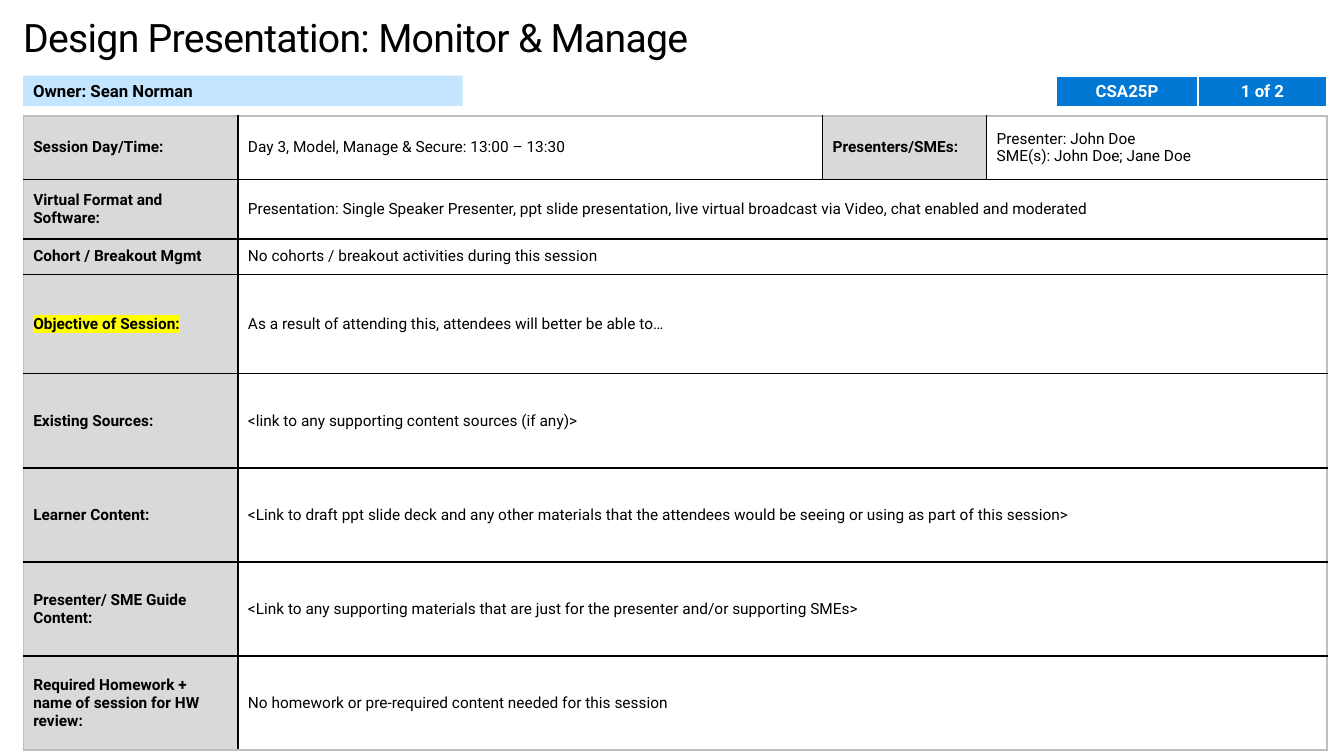
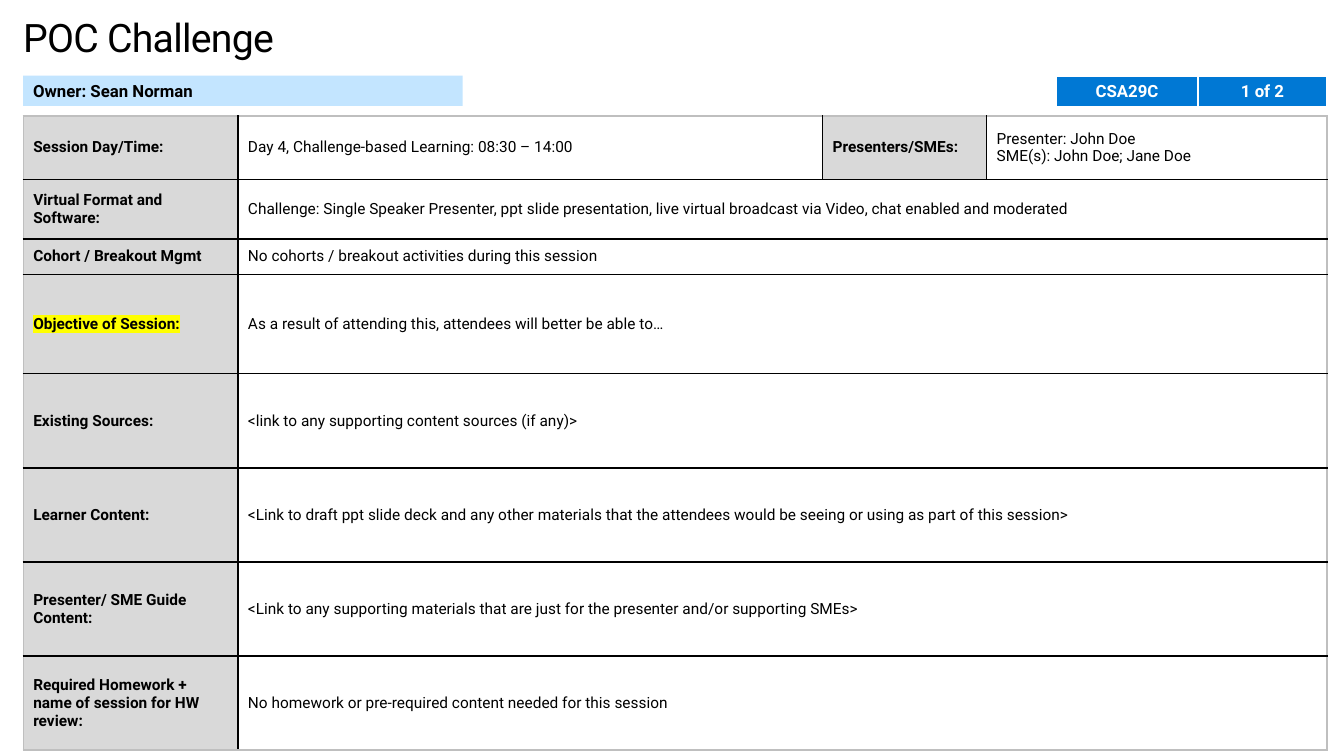
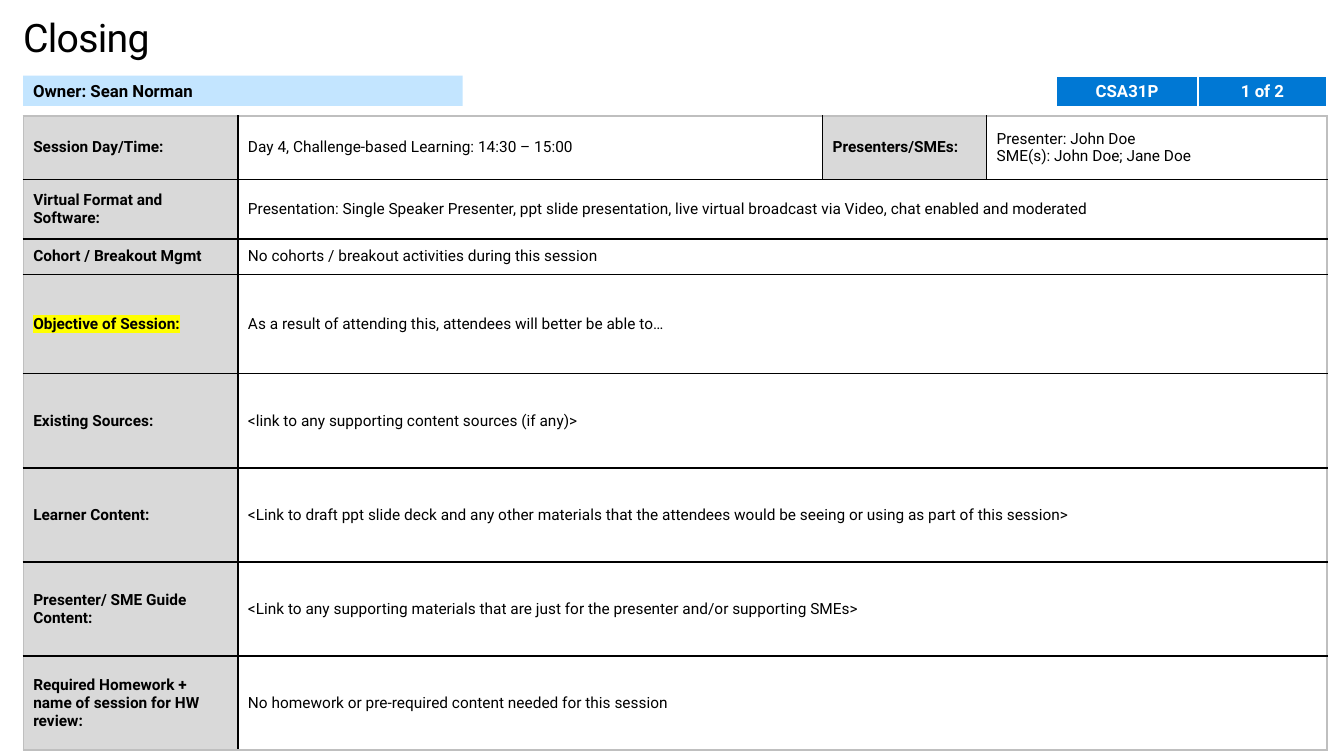
from dataclasses import dataclass
from typing import NamedTuple

from lxml.etree import SubElement as Sub
from pptx import Presentation
from pptx.dml.color import RGBColor as Rgb
from pptx.enum.shapes import MSO_SHAPE as Shape
from pptx.enum.text import MSO_ANCHOR as Anchor, PP_ALIGN as Align
from pptx.oxml.ns import qn
from pptx.util import Pt


# Theme: colours and type sizes
@dataclass(frozen=True)
class Theme:
    font: str = "Roboto"
    ink: str = "000000"
    white: str = "FFFFFF"
    label: str = "D9D9D9"
    frame: str = "BFBFBF"
    band: str = "C3E5FF"
    code: str = "0078D4"
    mark: str = "FFFF00"
    head: int = 28
    tag: int = 12
    text: int = 11


class Edge(NamedTuple):
    color: str
    width: float = 1


class Box(NamedTuple):
    left: float
    top: float
    width: float
    height: float

    def pts(self) -> list:
        return [Pt(v) for v in self]


class Row(NamedTuple):
    height: float
    label: str
    text: str
    mark: bool = False


@dataclass(frozen=True)
class Session:
    title: str
    code: str
    time: str
    kind: str = "Presentation"
    owner: str = "Sean Norman"
    page: str = "1 of 2"


THEME = Theme()
LEFT = 16.56
TITLE = Box(LEFT, 9.36, 926.64, 33.84)
OWNER = Box(LEFT, 54, 313.92, 21.6)
COLS = [153.4, 417.6, 117.2, 243.2]
TOP = 82.8
CODES = [101.4, 92.2]
CODE_TOP, CODE_HIGH = 54.8, 22.2
TALL = 67.2

SESSIONS = [
    Session("Design Presentation: Monitor & Manage", "CSA25P",
            "Day 3, Model, Manage & Secure: 13:00 – 13:30"),
    Session("POC Challenge", "CSA29C",
            "Day 4, Challenge-based Learning: 08:30 – 14:00", "Challenge"),
    Session("Closing", "CSA31P",
            "Day 4, Challenge-based Learning: 14:30 – 15:00"),
]


def plan(item: Session) -> list[Row]:
    return [
        Row(45.4, "Session Day/Time:", item.time),
        Row(42.5, "Virtual Format and Software:",
            f"{item.kind}: Single Speaker Presenter, ppt slide presentation, "
            "live virtual broadcast via Video, chat enabled and moderated"),
        Row(25.2, "Cohort / Breakout Mgmt",
            "No cohorts / breakout activities during this session"),
        Row(71.2, "Objective of Session:",
            "As a result of attending this, attendees will better be able to…",
            True),
        Row(TALL, "Existing Sources:",
            "<link to any supporting content sources (if any)>"),
        Row(TALL, "Learner Content:",
            "<Link to draft ppt slide deck and any other materials that the "
            "attendees would be seeing or using as part of this session>"),
        Row(TALL, "Presenter/ SME Guide Content:",
            "<Link to any supporting materials that are just for the "
            "presenter and/or supporting SMEs>"),
        Row(TALL, "Required Homework + name of session for HW review:",
            "No homework or pre-required content needed for this session"),
    ]


# Text and cell helpers
def write(frame, text: str, size: int, color: str = THEME.ink,
          bold: bool = False, align=Align.LEFT) -> None:
    frame.text = text
    look = {"name": THEME.font, "size": Pt(size), "bold": bold}
    for para in frame.paragraphs:
        para.alignment = align
        for run in para.runs:
            for key, value in look.items():
                setattr(run.font, key, value)
            run.font.color.rgb = Rgb.from_string(color)


def mark(run) -> None:
    fill = run.font._element.find(qn("a:solidFill"))
    glow = Sub(fill.getparent(), qn("a:highlight"))
    Sub(glow, qn("a:srgbClr"), val=THEME.mark)
    fill.addnext(glow)


def rule(cell, edges: dict[str, Edge]) -> None:
    props = cell._tc.get_or_add_tcPr()
    for side in "LRTB":
        if side in edges:
            edge = edges[side]
            line = Sub(props, qn(f"a:ln{side}"), w=str(Pt(edge.width)))
            fill = Sub(line, qn("a:solidFill"))
            Sub(fill, qn("a:srgbClr"), val=edge.color)


def paint(item, color: str) -> None:
    item.fill.solid()
    item.fill.fore_color.rgb = Rgb.from_string(color)


def grid(slide, left: float, top: float, cols: list[float],
         rows: list[float]):
    box = Box(left, top, sum(cols), sum(rows))
    table = slide.shapes.add_table(len(rows), len(cols), *box.pts()).table
    table.first_row = table.horz_banding = False
    for col, width in zip(table.columns, cols):
        col.width = Pt(width)
    for row, height in zip(table.rows, rows):
        row.height = Pt(height)
    return table


# Slide parts
def add_title(slide, text: str) -> None:
    title = slide.shapes.title
    for key, value in zip(Box._fields, TITLE.pts()):
        setattr(title, key, value)
    frame = title.text_frame
    look = {"margin_left": 0, "margin_top": 0, "margin_right": 0,
            "margin_bottom": 0, "vertical_anchor": Anchor.TOP,
            "word_wrap": True}
    for key, value in look.items():
        setattr(frame, key, value)
    write(frame, text, THEME.head)
    frame.paragraphs[0].runs[0].font._element.set("spc", "-50")


def add_plan(slide, item: Session) -> None:
    rows = plan(item)
    table = grid(slide, LEFT, TOP, COLS, [row.height for row in rows])
    ink, rim = Edge(THEME.ink), Edge(THEME.frame)
    end, low = len(COLS) - 1, len(rows) - 1
    for y, row in enumerate(rows):
        texts = [row.label, row.text]
        if y == 0:
            texts += ["Presenters/SMEs:",
                      "Presenter: John Doe\nSME(s): John Doe; Jane Doe"]
        else:
            table.cell(y, 1).merge(table.cell(y, end))
        last = len(texts) - 1
        for x in range(len(COLS)):
            cell = table.cell(y, x)
            edges = {"R": rim if x >= last else ink,
                     "T": ink if y else rim,
                     "B": ink if y < low else rim}
            if x <= last:
                edges["L"] = ink if x else rim
            rule(cell, edges)
            if x > last:
                continue
            head = x % 2 == 0
            if head:
                paint(cell, THEME.label)
            else:
                cell.fill.background()
            cell.vertical_anchor = Anchor.MIDDLE
            write(cell.text_frame, texts[x], THEME.text, bold=head)
            if head and row.mark:
                mark(cell.text_frame.paragraphs[0].runs[0])


def add_owner(slide, name: str) -> None:
    band = slide.shapes.add_shape(Shape.RECTANGLE, *OWNER.pts())
    band.shadow.inherit = False
    paint(band, THEME.band)
    band.line.fill.background()
    band.text_frame.word_wrap = True
    band.text_frame.vertical_anchor = Anchor.MIDDLE
    write(band.text_frame, f"Owner: {name}", THEME.tag, bold=True)


def add_codes(slide, item: Session) -> None:
    left = LEFT + sum(COLS) - sum(CODES)
    table = grid(slide, left, CODE_TOP, CODES, [CODE_HIGH])
    thin, thick = Edge(THEME.white), Edge(THEME.white, 3)
    for x, text in enumerate([item.code, item.page]):
        cell = table.cell(0, x)
        rule(cell, {"L": thin, "R": thin, "T": thin, "B": thick})
        paint(cell, THEME.code)
        write(cell.text_frame, text, THEME.tag, THEME.white, True,
              Align.CENTER)


def main() -> None:
    deck = Presentation()
    deck.slide_width, deck.slide_height = Pt(960), Pt(540)
    for item in SESSIONS:
        slide = deck.slides.add_slide(deck.slide_layouts[5])
        add_title(slide, item.title)
        add_plan(slide, item)
        add_owner(slide, item.owner)
        add_codes(slide, item)
    deck.save("out.pptx")


if __name__ == "__main__":
    main()
